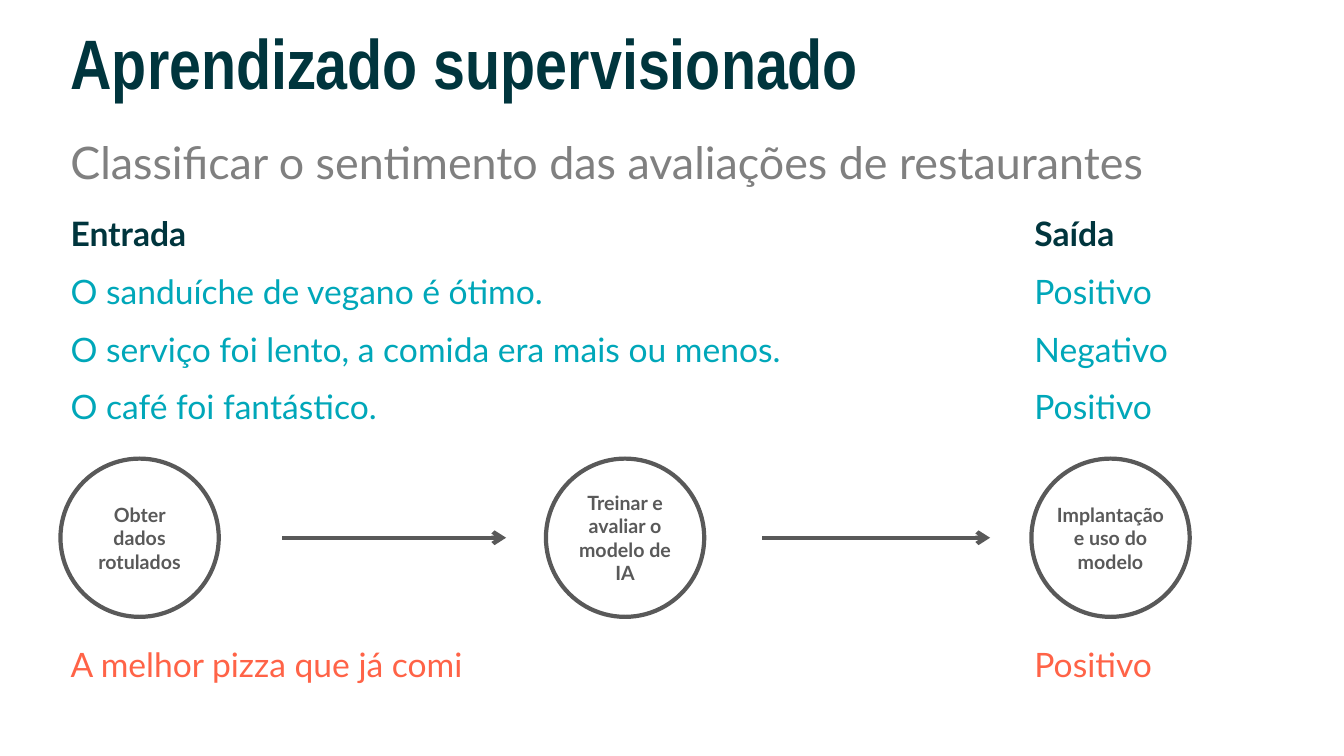
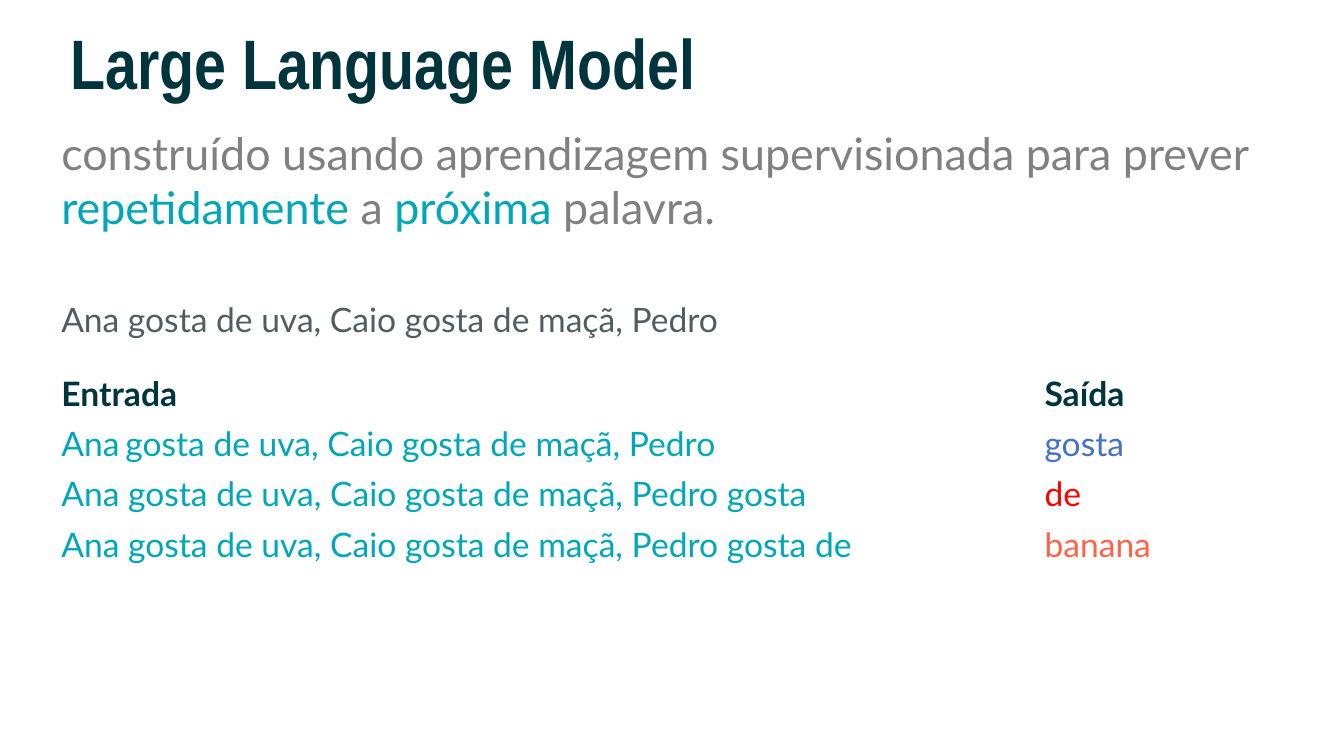
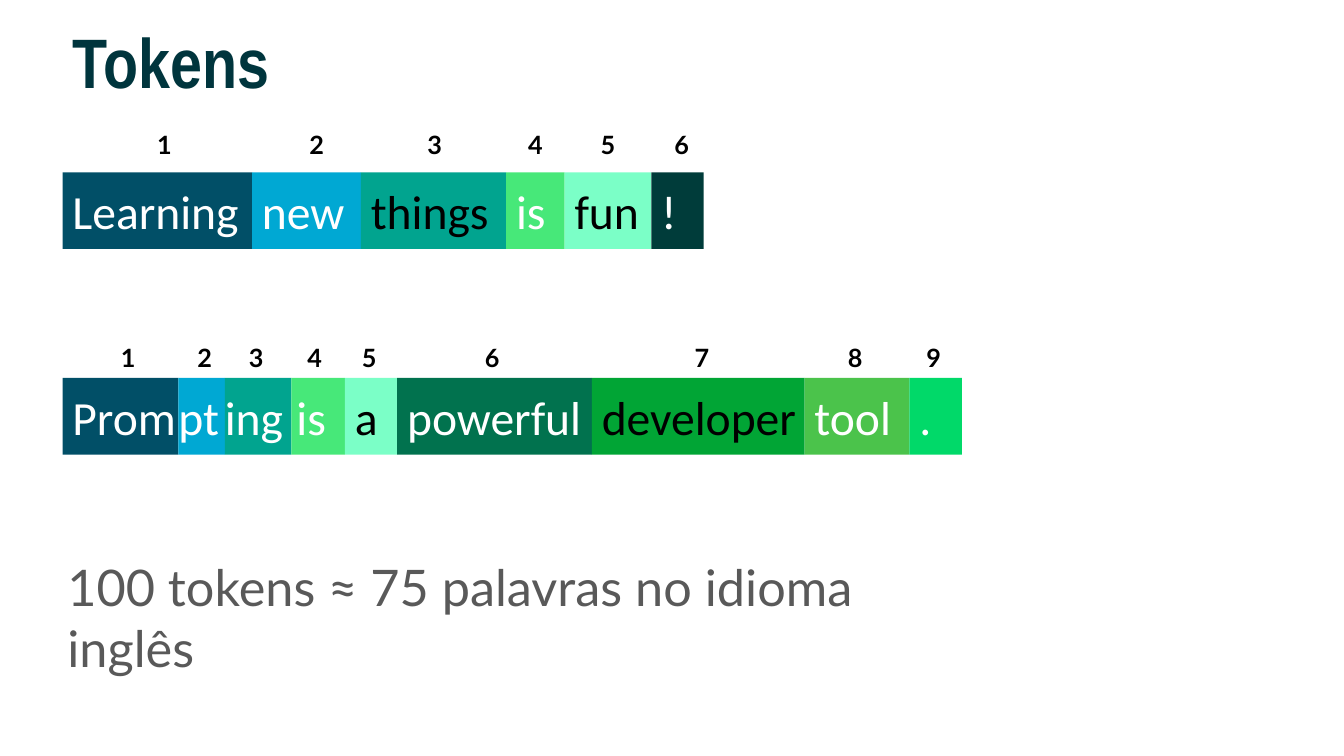
import pptx
import pptx.util
import pptx.dml.color
import pptx.enum.shapes
import pptx.enum.text
import lxml.etree

Inches = pptx.util.Inches
Pt = pptx.util.Pt
RGB = pptx.dml.color.RGBColor
Shape = pptx.enum.shapes.MSO_SHAPE
Align = pptx.enum.text.PP_ALIGN
Anchor = pptx.enum.text.MSO_ANCHOR
Fit = pptx.enum.text.MSO_AUTO_SIZE

DARK = RGB(0x00, 0x35, 0x3D)
TEAL = RGB(0x00, 0xA7, 0xB9)
GRAY = RGB(0x80, 0x80, 0x80)
SLATE = RGB(0x51, 0x5E, 0x61)
STEEL = RGB(0x59, 0x59, 0x59)
CORAL = RGB(0xFF, 0x63, 0x47)
BLUE = RGB(0x44, 0x72, 0xC4)
RED = RGB(0xFF, 0x00, 0x00)
WHITE = RGB(0xFF, 0xFF, 0xFF)
BLACK = RGB(0x00, 0x00, 0x00)
NAVY = RGB(0x01, 0x4F, 0x67)
SKY = RGB(0x00, 0xA8, 0xD3)
SEA = RGB(0x01, 0xA4, 0x8F)
LIME = RGB(0x47, 0xE8, 0x79)
MINT = RGB(0x7B, 0xFF, 0xC7)
PINE = RGB(0x00, 0x3C, 0x3A)
MOSS = RGB(0x01, 0x72, 0x4E)
LEAF = RGB(0x01, 0xA5, 0x35)
GRASS = RGB(0x4B, 0xC3, 0x4B)
JADE = RGB(0x01, 0xD9, 0x69)

HEAD, BODY, PLAIN = "Arial Narrow", "Lato", "Calibri"


def place(box):
    """Turn a box in inches into lengths."""
    return [Inches(n) for n in box]


def write(para, text, size, color, bold=False, font=BODY):
    """Add one run to a paragraph."""
    run = para.add_run()
    run.text = text
    run.font.size = Pt(size)
    run.font.name = font
    run.font.bold = bold
    run.font.color.rgb = color


def start(deck, text, box=(0.6, 0, 11.36, 1.32)):
    """Add a slide with its title."""
    slide = deck.slides.add_slide(deck.slide_layouts[5])
    title = slide.shapes.title
    title.left, title.top, title.width, title.height = place(box)
    frame = title.text_frame
    frame.auto_size = Fit.NONE
    frame.vertical_anchor = Anchor.MIDDLE
    para = frame.paragraphs[0]
    para.alignment = Align.LEFT
    para.line_spacing = 0.9
    write(para, text, 50, DARK, True, HEAD)
    return slide


def label(slide, box, runs, before=0):
    """Add a text box made of runs."""
    frame = slide.shapes.add_textbox(*place(box)).text_frame
    frame.word_wrap = True
    para = frame.paragraphs[0]
    para.space_before = Pt(before)
    for run in runs:
        write(para, *run)


def grid(slide, box, cols, rows):
    """Add a plain table whose cells hold runs."""
    table = slide.shapes.add_table(len(rows), len(cols), *place(box)).table
    table.first_row = table.horz_banding = False
    for col, width in zip(table.columns, cols):
        col.width = Inches(width)
    for row, cells in zip(table.rows, rows):
        row.height = Inches(box[3] / len(rows))
        for cell, runs in zip(row.cells, cells):
            cell.fill.background()
            for run in runs:
                write(cell.text_frame.paragraphs[0], *run)


def pair(left, right, ink, mark=None, bold=False):
    """Make a table row from an input and its output."""
    return [[(left, 24, ink, bold)], [(right, 24, mark or ink, bold)]]


def ring(slide, box, text, inset):
    """Add an outlined circle with a step name."""
    shape = slide.shapes.add_shape(Shape.OVAL, *place(box))
    shape.shadow.inherit = False
    shape.fill.background()
    shape.line.color.rgb = STEEL
    shape.line.width = Pt(3)
    frame = shape.text_frame
    frame.word_wrap = True
    frame.vertical_anchor = Anchor.MIDDLE
    frame.margin_left = frame.margin_right = Inches(inset)
    frame.paragraphs[0].alignment = Align.CENTER
    write(frame.paragraphs[0], text, 14, STEEL, True)


def arrow(slide, left, right, top):
    """Add a level arrow."""
    line = slide.shapes.add_connector(
        pptx.enum.shapes.MSO_CONNECTOR.STRAIGHT, *place((left, top, right, top)))
    line.line.color.rgb = STEEL
    line.line.width = Pt(3)
    tail = lxml.etree.SubElement(line.line._get_or_add_ln(), pptx.oxml.ns.qn("a:tailEnd"))
    tail.set("type", "arrow")
    lxml.etree.SubElement(line._element.spPr, pptx.oxml.ns.qn("a:effectLst"))


def flow(slide, box):
    """Place three circles in equal steps, with arrows between."""
    left, top, width, size = box
    steps = [("Obter dados rotulados", 0.1),
             ("Treinar e avaliar o modelo de IA", 0.1),
             ("Implantação e uso do modelo", 0)]
    gap = (width - size) / (len(steps) - 1)
    for i, (text, inset) in enumerate(steps):
        ring(slide, (left + i * gap, top, size, size), text, inset)
    for near, far in ((2.2, 4.42), (6.96, 9.22)):
        arrow(slide, left + near, left + far, top + size / 2)


def chain(slide, left, top, rise, tokens):
    """Place tokens side by side, with numbers above."""
    edge = left
    for i, (text, fill, ink, width, inset, mark) in enumerate(tokens, 1):
        shape = slide.shapes.add_shape(Shape.RECTANGLE, *place((edge, top, width, 0.76)))
        shape.shadow.inherit = False
        shape.fill.solid()
        shape.fill.fore_color.rgb = fill
        shape.line.fill.background()
        frame = shape.text_frame
        frame.word_wrap = True
        frame.vertical_anchor = Anchor.MIDDLE
        frame.margin_left, frame.margin_right = Inches(inset), 0
        para = frame.paragraphs[0]
        para.alignment = Align.LEFT
        para.space_before = Pt(10)
        write(para, text, 34, ink, False, PLAIN)
        label(slide, (edge + mark, top - rise, 0.35, 0.4), [(str(i), 18, BLACK, True)])
        edge += width


def learn(deck):
    """Build the supervised learning slide."""
    slide = start(deck, "Aprendizado supervisionado")
    label(slide, (0.6, 1.29, 12.13, 0.64),
          [("Classificar o sentimento das avaliações de restaurantes", 32, GRAY)])
    cols = (9.56, 1.64)
    grid(slide, (0.6, 2.07, 11.2, 2.29), cols, [
        pair("Entrada", "Saída", DARK, bold=True),
        pair("O sanduíche de vegano é ótimo.", "Positivo", TEAL),
        pair("O serviço foi lento, a comida era mais ou menos.", "Negativo", TEAL),
        pair("O café foi fantástico.", "Positivo", TEAL)])
    flow(slide, (0.6, 4.55, 11.2, 1.57))
    grid(slide, (0.6, 6.34, 11.2, 0.57), cols,
         [pair("A melhor pizza que já comi", "Positivo", CORAL)])


def model(deck):
    """Build the language model slide."""
    slide = start(deck, "Large Language Model")
    label(slide, (0.51, 1.2, 12.46, 1.18), [
        ("construído usando aprendizagem supervisionada para prever ", 32, GRAY),
        ("repetidamente", 32, TEAL), (" a ", 32, GRAY),
        ("próxima", 32, TEAL), (" palavra.", 32, GRAY)], 10)
    rest = "gosta de uva, Caio gosta de maçã, Pedro"
    full = "Ana " + rest
    label(slide, (0.51, 2.92, 10.13, 0.5), [(full, 24, SLATE)])
    first = [("Ana", 24, TEAL), (" ", 18, TEAL, False, PLAIN), (rest, 24, TEAL)]
    grid(slide, (0.51, 3.65, 11.84, 2), (9.75, 2.09), [
        pair("Entrada", "Saída", DARK, bold=True),
        [first, [("gosta", 24, BLUE)]],
        pair(full + " gosta", "de", TEAL, RED),
        pair(full + " gosta de", "banana", TEAL, CORAL)])


def tokens(deck):
    """Build the tokens slide."""
    slide = start(deck, "Tokens", (0.62, 0, 10.95, 1.31))
    chain(slide, 0.62, 1.71, 0.48, [
        ("Learning", NAVY, WHITE, 1.88, 0.1, 0.84),
        ("new", SKY, WHITE, 1.08, 0.1, 0.47),
        ("things", SEA, BLACK, 1.44, 0.1, 0.56),
        ("is", LIME, WHITE, 0.58, 0.1, 0.12),
        ("fun", MINT, BLACK, 0.86, 0.1, 0.26),
        ("!", PINE, WHITE, 0.52, 0.1, 0.13)])
    chain(slide, 0.62, 3.75, 0.4, [
        ("Prom", NAVY, WHITE, 1.15, 0.1, 0.48),
        ("pt", SKY, WHITE, 0.46, 0, 0.09),
        ("ing", SEA, WHITE, 0.66, 0, 0.14),
        ("is", LIME, WHITE, 0.53, 0.05, 0.06),
        ("a", MINT, BLACK, 0.52, 0.1, 0.07),
        ("powerful", MOSS, WHITE, 1.93, 0.1, 0.77),
        ("developer", LEAF, BLACK, 2.11, 0.1, 0.92),
        ("tool", GRASS, WHITE, 1.04, 0.1, 0.33),
        (".", JADE, WHITE, 0.52, 0.1, 0.07)])
    label(slide, (0.57, 5.47, 9.33, 0.71),
          [("100 tokens ≈ 75 palavras no idioma inglês", 36, STEEL)])


def main():
    """Build and save the deck."""
    deck = pptx.Presentation()
    deck.slide_width, deck.slide_height = Inches(13.33), Inches(7.5)
    for build in (learn, model, tokens):
        build(deck)
    deck.save("out.pptx")


if __name__ == "__main__":
    main()
